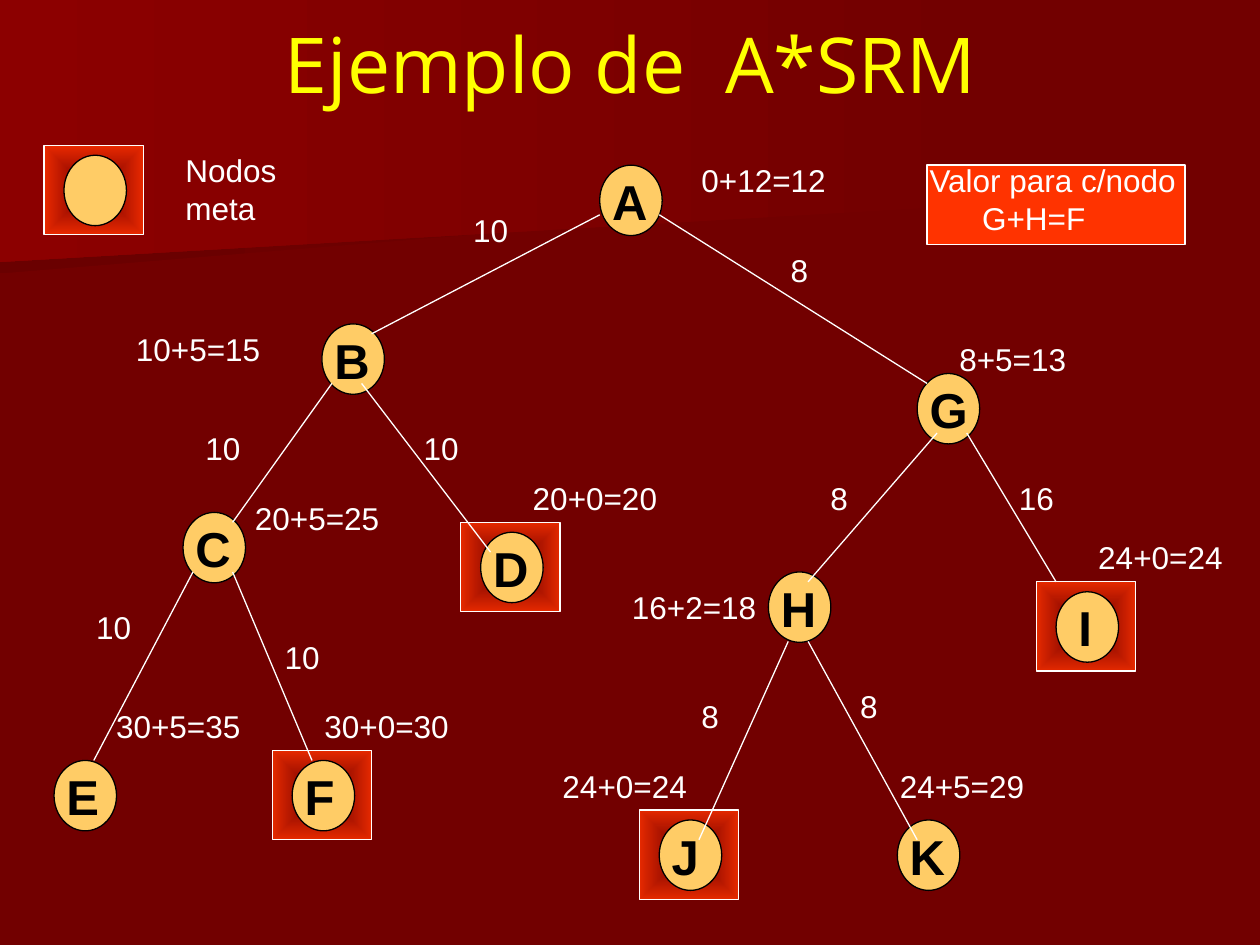
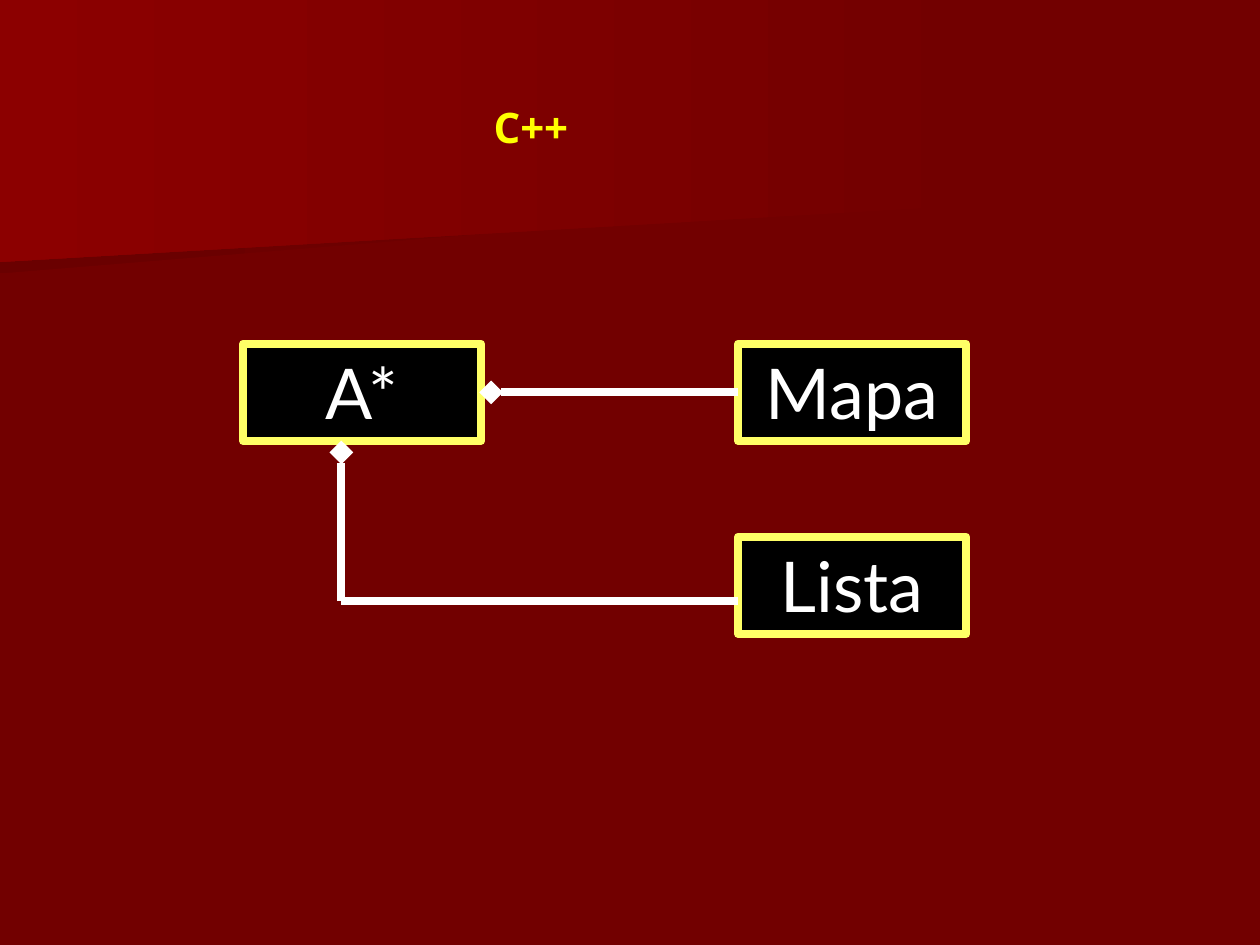
from lxml import etree
from pptx import Presentation
from pptx.dml.color import RGBColor
from pptx.enum.shapes import MSO_CONNECTOR, MSO_SHAPE
from pptx.enum.text import MSO_ANCHOR, PP_ALIGN
from pptx.oxml import parse_xml
from pptx.oxml.ns import nsdecls, qn
from pptx.util import Cm, Pt

RECT, OVAL = MSO_SHAPE.RECTANGLE, MSO_SHAPE.OVAL
STRAIGHT = MSO_CONNECTOR.STRAIGHT
LEFT, CENTER = PP_ALIGN.LEFT, PP_ALIGN.CENTER
TOP, MIDDLE = MSO_ANCHOR.TOP, MSO_ANCHOR.MIDDLE

# Shared look
DARK_RED, SHADE_RED, LIGHT_RED, ORANGE_RED = "720000", "6A0000", "8C0000", "FF3300"
WHITE, BLACK, YELLOW = "FFFFFF", "000000", "FFFF00"
NODE_FILL, BOX_LINE = "FFCC66", "FFFF66"
TITLE_FONT, BODY_FONT, BOX_FONT = "Open Sans", "Arial", "Lato"

# Background bands: end colour, outline in cm
BANDS = [
    (SHADE_RED, [(19.76, 3.89), (0, 5.51), (0, 2.57), (19.79, 2.57), (19.76, 3.25)]),
    (LIGHT_RED, [(20.12, 4.11), (0, 5.28), (0, 0), (20.12, 0)]),
]

# Slide 1: node -> position, value, value position, value width
NODES = {
    "A": ((12.09, 3.33), "0+12=12", (13.89, 3.13), 4),
    "B": ((6.49, 6.53), "10+5=15", (2.49, 6.53), 4),
    "C": ((3.69, 10.33), "20+5=25", (4.89, 9.93), 4),
    "D": ((9.69, 10.73), "20+0=20", (10.49, 9.53), 4),
    "E": ((1.09, 15.33), "30+5=35", (2.09, 14.13), 3.2),
    "F": ((5.89, 15.33), "30+0=30", (6.29, 14.13), 4),
    "G": ((18.49, 7.53), "8+5=13", (19.09, 6.73), 4),
    "H": ((15.49, 11.53), "16+2=18", (12.49, 11.73), 4),
    "I": ((21.29, 11.93), "24+0=24", (21.89, 10.73), 3.2),
    "J": ((13.29, 16.53), "24+0=24", (11.09, 15.33), 3.2),
    "K": ((18.09, 16.53), "24+5=29", (17.89, 15.33), 3.6),
}
GOALS = "DIJF"
NODE_W, NODE_H = 1.26, 1.42
LEGEND_NODE = (1.29, 3.13)
LETTER_SHIFT = {"I": 0.2}

# Parent and child, line ends relative to each node, cost, cost position and width
EDGES = [
    ("AB", (0, 1), (1, 0.2), "10", (9.29, 4.13), 1.8),
    ("AG", (1.2, 1), (0.2, 0.2), "8", (15.69, 4.93), 1.2),
    ("BC", (0.2, 1.2), (1, 0.2), "10", (3.89, 8.53), 1.8),
    ("BD", (0.8, 1.2), (0.2, 0.4), "10", (8.29, 8.53), 1.8),
    ("CE", (0.2, 1.2), (0.8, 0), "10", (1.69, 12.13), 1.4),
    ("CF", (1, 1.2), (0.4, 0), "10", (5.49, 12.73), 1.8),
    ("GH", (0.4, 1.2), (0.8, 0.2), "8", (16.49, 9.53), 1.8),
    ("GI", (1, 1.2), (0, -0.2), "16", (20.29, 9.53), 1.8),
    ("HJ", (0.4, 1.4), (0.8, 0.4), "8", (13.89, 13.93), 1.4),
    ("HK", (0.8, 1.4), (0.4, 0.4), "8", (17.09, 13.73), 1.8),
]

# Slide 2: class boxes
CLASSES = {"A*": (4.9, 6.93, 4.8), "Lista": (14.88, 10.82, 4.6), "Mapa": (14.88, 6.93, 4.6)}
CLASS_H = 1.96


def rgb(color):
    return RGBColor.from_string(color)


def add_gradient(sp, stops, direction):
    """Put a gradient fill right after the geometry; a stop is (colour, opacity %)."""
    gs = "".join(
        f'<a:gs pos="{i * 100000}"><a:srgbClr val="{color}">'
        f'<a:alpha val="{opacity * 1000}"/></a:srgbClr></a:gs>'
        for i, (color, opacity) in enumerate(stops))
    grad = parse_xml(f'<a:gradFill {nsdecls("a")} rotWithShape="1">'
                     f'<a:gsLst>{gs}</a:gsLst>{direction}</a:gradFill>')
    sp._element.spPr.insert(2, grad)


def new_slide(prs):
    s = prs.slides.add_slide(prs.slide_layouts[6])
    s.background.fill.solid()
    s.background.fill.fore_color.rgb = rgb(DARK_RED)
    for color, points in BANDS:
        (x, y), *rest = [(Cm(px), Cm(py)) for px, py in points]
        builder = s.shapes.build_freeform(x, y)
        builder.add_line_segments(rest, close=True)
        sp = builder.convert_to_shape()
        sp.shadow.inherit = False
        add_gradient(sp, [(DARK_RED, 100), (color, 100)], '<a:lin ang="10800000" scaled="0"/>')
        sp.line.fill.background()
    return s


def write(tf, lines, size, color=WHITE, font=BODY_FONT, bold=False, align=LEFT, anchor=TOP):
    tf.word_wrap = True
    tf.vertical_anchor = anchor
    for i, line in enumerate(lines):
        p = tf.add_paragraph() if i else tf.paragraphs[0]
        p.alignment = align
        r = p.add_run()
        r.text = line
        r.font.size, r.font.name, r.font.bold = Pt(size), font, bold
        r.font.color.rgb = rgb(color)


def add_text(s, x, y, w, h, lines, size=18, **style):
    tf = s.shapes.add_textbox(Cm(x), Cm(y), Cm(w), Cm(h)).text_frame
    write(tf, lines, size, **style)
    return tf


def add_box(s, kind, x, y, w, h, fill, line, width=0.75):
    sp = s.shapes.add_shape(kind, Cm(x), Cm(y), Cm(w), Cm(h))
    sp.shadow.inherit = False
    if fill:
        sp.fill.solid()
        sp.fill.fore_color.rgb = rgb(fill)
    sp.line.color.rgb = rgb(line)
    sp.line.width = Pt(width)
    return sp


def add_line(s, start, end, width=0.75, diamond=False):
    c = s.shapes.add_connector(STRAIGHT, *[Cm(v) for v in (*start, *end)])
    c.line.color.rgb = rgb(WHITE)
    c.line.width = Pt(width)
    if diamond:
        etree.SubElement(c.line._get_or_add_ln(), qn("a:tailEnd"), type="diamond")
    etree.SubElement(c._element.spPr, qn("a:effectLst"))
    return c


def add_goal_frame(s, x, y):
    sp = add_box(s, RECT, x - 0.4, y - 0.2, 2, 1.8, None, WHITE)
    add_gradient(sp, [(DARK_RED, 72), (ORANGE_RED, 84)],
                 '<a:path path="rect"><a:fillToRect l="50000" t="50000" r="50000" b="50000"/></a:path>')


def add_node(s, x, y):
    add_box(s, OVAL, x, y, NODE_W, NODE_H, NODE_FILL, BLACK)


def build_tree(prs):
    s = new_slide(prs)
    add_text(s, 1.29, 0, 22.86, 2.52, ["Ejemplo de  A*SRM"], size=44, color=YELLOW,
             font=TITLE_FONT, align=CENTER, anchor=MIDDLE)

    # Nodes and the frames of the goal nodes
    for name in GOALS:
        add_goal_frame(s, *NODES[name][0])
    for pos, *_ in NODES.values():
        add_node(s, *pos)

    # Edges with their costs
    for (parent, child), leave, arrive, cost, (x, y), w in EDGES:
        start, end = [[a + b for a, b in zip(NODES[n][0], shift)]
                      for n, shift in ((parent, leave), (child, arrive))]
        add_line(s, start, end)
        add_text(s, x, y, w, 1.02, [cost])

    # Letters and values
    for name, ((x, y), value, (vx, vy), w) in NODES.items():
        add_text(s, x + LETTER_SHIFT.get(name, 0), y, 1.2, 1.44, [name],
                 size=28, color=BLACK, bold=True)
        add_text(s, vx, vy, w, 1.02, [value])

    # Formula and legend
    add_box(s, RECT, 18.69, 3.33, 5.2, 1.6, ORANGE_RED, WHITE)
    tf = add_text(s, 18.49, 3.13, 5.8, 1.78, ["Valor para c/nodo", "G+H=F"])
    tf.paragraphs[1]._p.get_or_add_pPr().set("marL", str(Cm(1.06)))
    add_goal_frame(s, *LEGEND_NODE)
    add_node(s, *LEGEND_NODE)
    add_text(s, 3.49, 2.93, 2.8, 1.78, ["Nodos meta"])


def build_classes(prs):
    s = new_slide(prs)
    tf = add_text(s, 9.7, 1.93, 5.61, 2.01, ["C++"], size=24, color=YELLOW,
                  font=TITLE_FONT, bold=True)
    tf.word_wrap = False

    # Class boxes
    boxes = {}
    for name, (x, y, w) in CLASSES.items():
        boxes[name] = add_box(s, RECT, x, y, w, CLASS_H, BLACK, BOX_LINE, 4.5)
        write(boxes[name].text_frame, [name], 40, font=BOX_FONT, align=CENTER)

    # Composition lines, diamond at the owner
    corner = (6.88, 12.12)
    add_line(s, (14.88, 12.12), corner, 4.5)
    add_line(s, corner, (6.88, 9.12), 4.5, diamond=True)
    c = add_line(s, (14.88, 7.91), (9.9, 7.91), 4.5, diamond=True)
    c.begin_connect(boxes["Mapa"], 1)


def main():
    prs = Presentation()
    prs.slide_width, prs.slide_height = Cm(25.4), Cm(19.05)
    build_tree(prs)
    build_classes(prs)
    prs.save("out.pptx")


if __name__ == "__main__":
    main()
